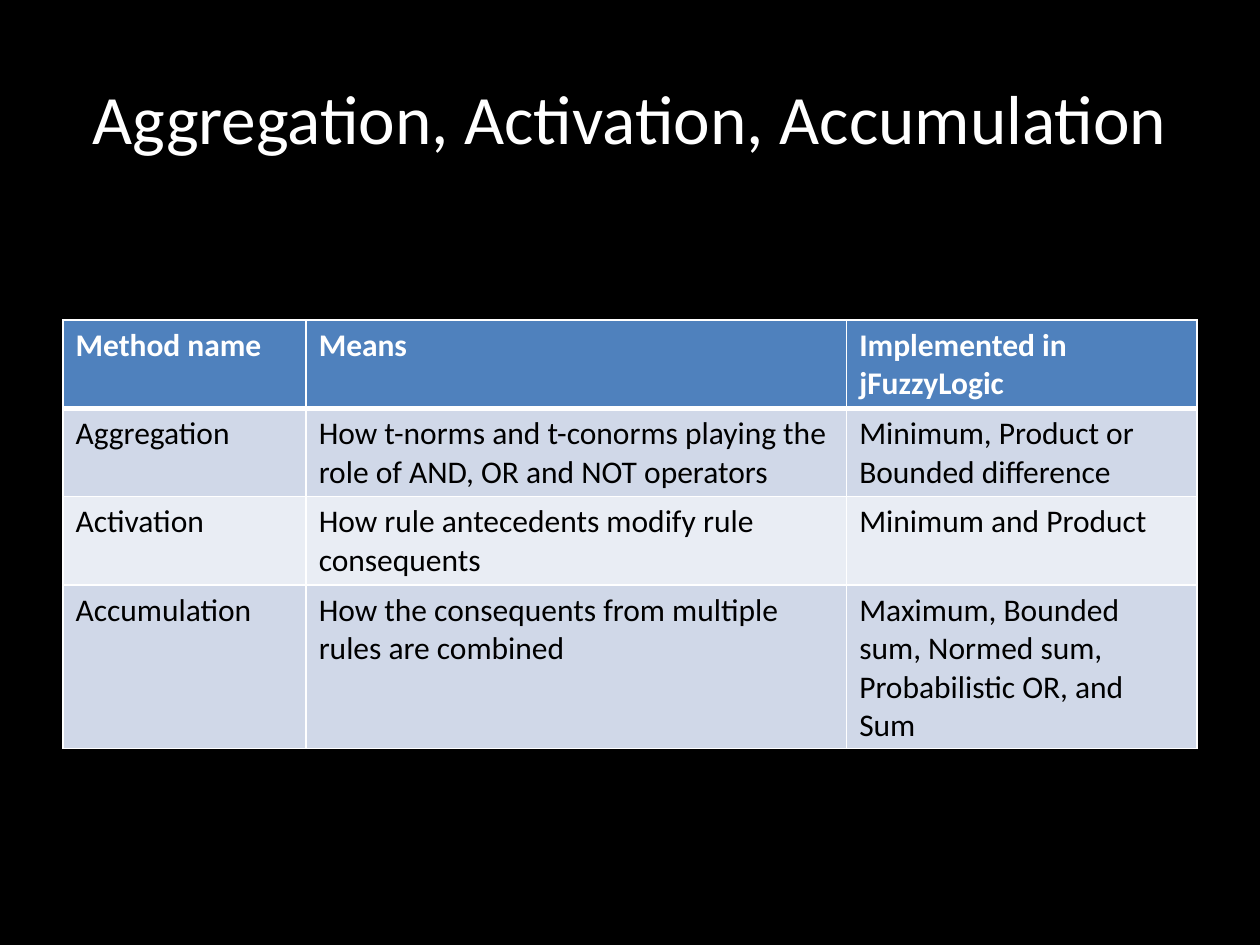
from lxml.etree import SubElement
from pptx import Presentation
from pptx.dml.color import RGBColor as Rgb
from pptx.enum.text import MSO_ANCHOR as Anchor, PP_ALIGN as Align
from pptx.oxml.ns import qn
from pptx.util import Inches, Pt

COLORS = {
    "background": "000000",
    "title": "FFFFFF",
    "border": "FFFFFF",
    "header": "4F81BD",
    "header_text": "FFFFFF",
    "odd_row": "D0D8E8",
    "even_row": "E9EDF4",
    "body_text": "000000",
}
METHODS = [
    ("Method name", "Means", "Implemented in jFuzzyLogic"),
    ("Aggregation", "How t-norms and t-conorms playing the role of AND, OR and NOT operators",
     "Minimum, Product or Bounded difference"),
    ("Activation", "How rule antecedents modify rule consequents", "Minimum and Product"),
    ("Accumulation", "How the consequents from multiple rules are combined",
     "Maximum, Bounded sum, Normed sum, Probabilistic OR, and Sum"),
]
COLUMN_WIDTHS = [1.93, 4.29, 2.78]
ROW_HEIGHTS = [0.7, 0.7, 0.7, 1.3]


def style_text(para, size, color, bold=False):
    para.font.name = "Calibri"
    para.font.size = Pt(size)
    para.font.bold = bold
    para.font.color.rgb = Rgb.from_string(COLORS[color])


def set_border(cell, position, side, width):
    properties = cell._tc.get_or_add_tcPr()
    line = SubElement(properties, qn(f"a:ln{side}"), w=str(Pt(width)))
    fill = SubElement(line, qn("a:solidFill"))
    SubElement(fill, qn("a:srgbClr"), val=COLORS["border"])
    properties.insert(position, line)


deck = Presentation()
deck.slide_width = Inches(10)
deck.slide_height = Inches(7.5)
width, height = deck.slide_width, deck.slide_height
margin = int(width * 0.05)
content_width = width - 2 * margin

page = deck.slides.add_slide(deck.slide_layouts[6])
page.background.fill.solid()
page.background.fill.fore_color.rgb = Rgb.from_string(COLORS["background"])

title_box = page.shapes.add_textbox(margin, int(height * 0.04), content_width, height // 6)
title_box.text_frame.word_wrap = True
title_box.text_frame.vertical_anchor = Anchor.MIDDLE
title = title_box.text_frame.paragraphs[0]
title.text = "Aggregation, Activation, Accumulation"
title.alignment = Align.CENTER
style_text(title, 39.6, "title")

table = page.shapes.add_table(
    len(METHODS), len(COLUMN_WIDTHS), margin, Inches(2.54),
    content_width, Inches(sum(ROW_HEIGHTS)),
).table
for column, column_width in zip(table.columns, COLUMN_WIDTHS):
    column.width = Inches(column_width)
for row, row_height in zip(table.rows, ROW_HEIGHTS):
    row.height = Inches(row_height)

for row_index, texts in enumerate(METHODS):
    is_header = row_index == 0
    row_fill = "header" if is_header else "odd_row" if row_index % 2 else "even_row"
    for column_index, text in enumerate(texts):
        cell = table.cell(row_index, column_index)
        cell.text = text
        style_text(cell.text_frame.paragraphs[0], 18,
                   "header_text" if is_header else "body_text", is_header)
        cell.fill.solid()
        cell.fill.fore_color.rgb = Rgb.from_string(COLORS[row_fill])
        for position, side in enumerate("LRTB"):
            is_header_edge = (row_index, side) in [(0, "B"), (1, "T")]
            set_border(cell, position, side, 3 if is_header_edge else 1)

deck.save("out.pptx")
